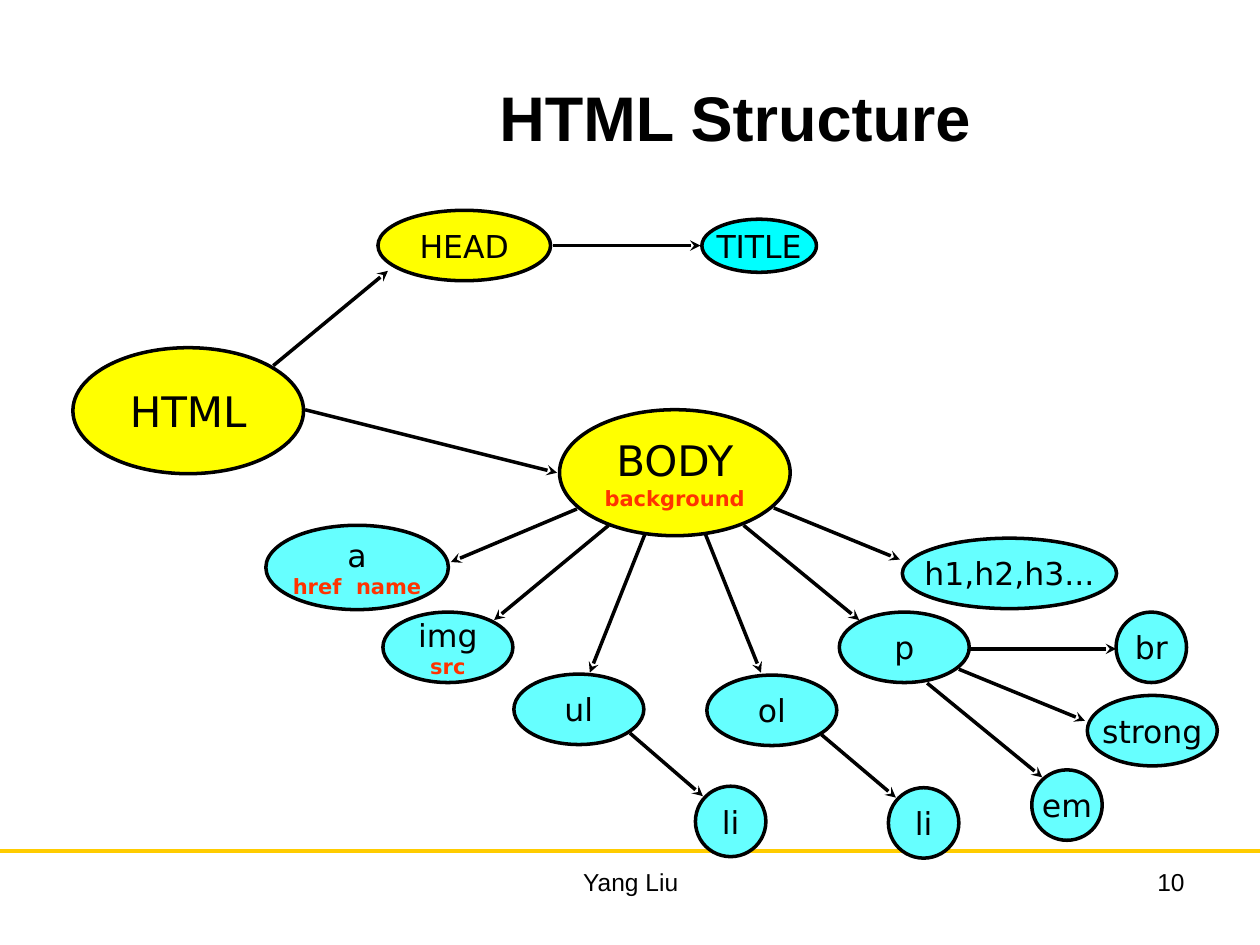
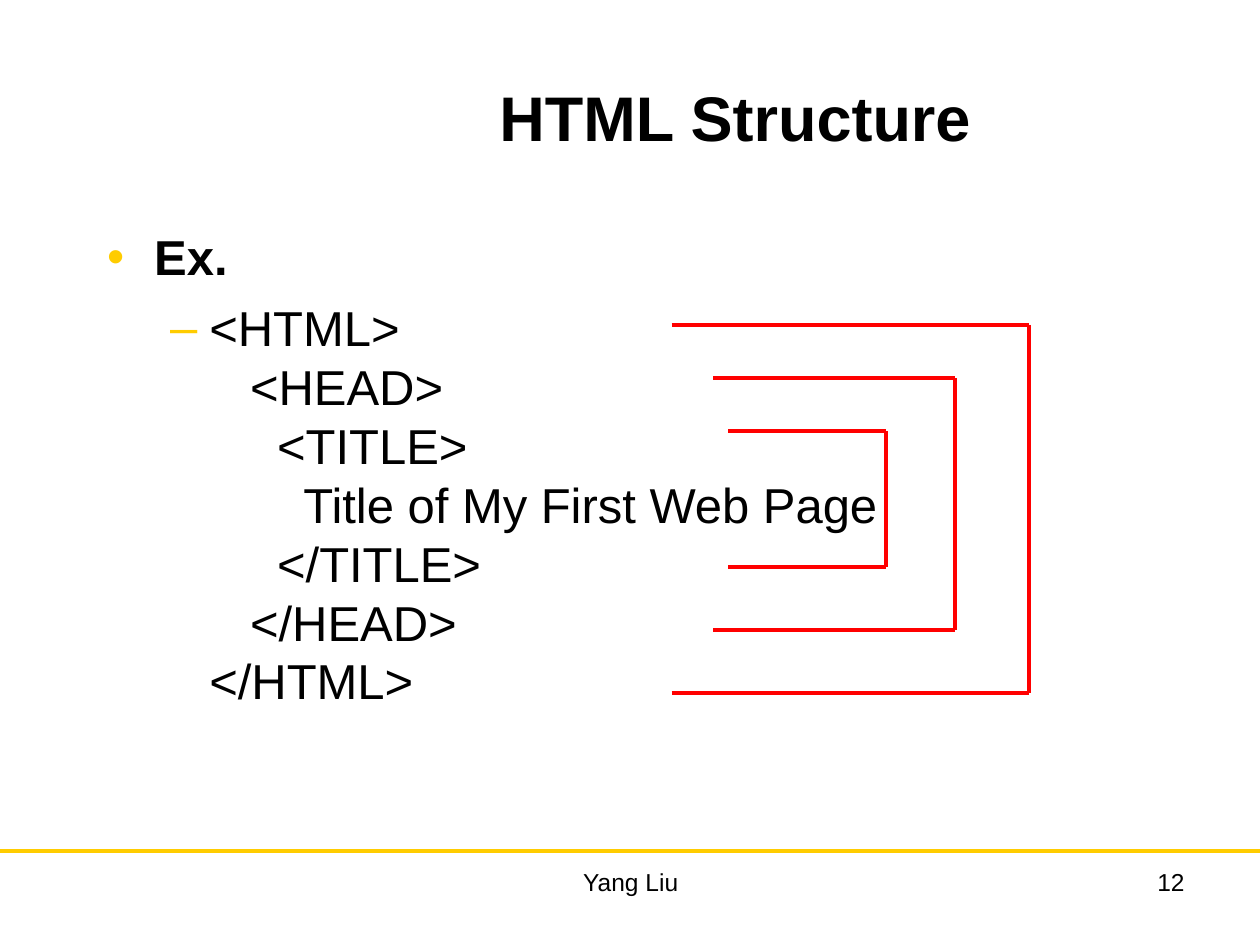
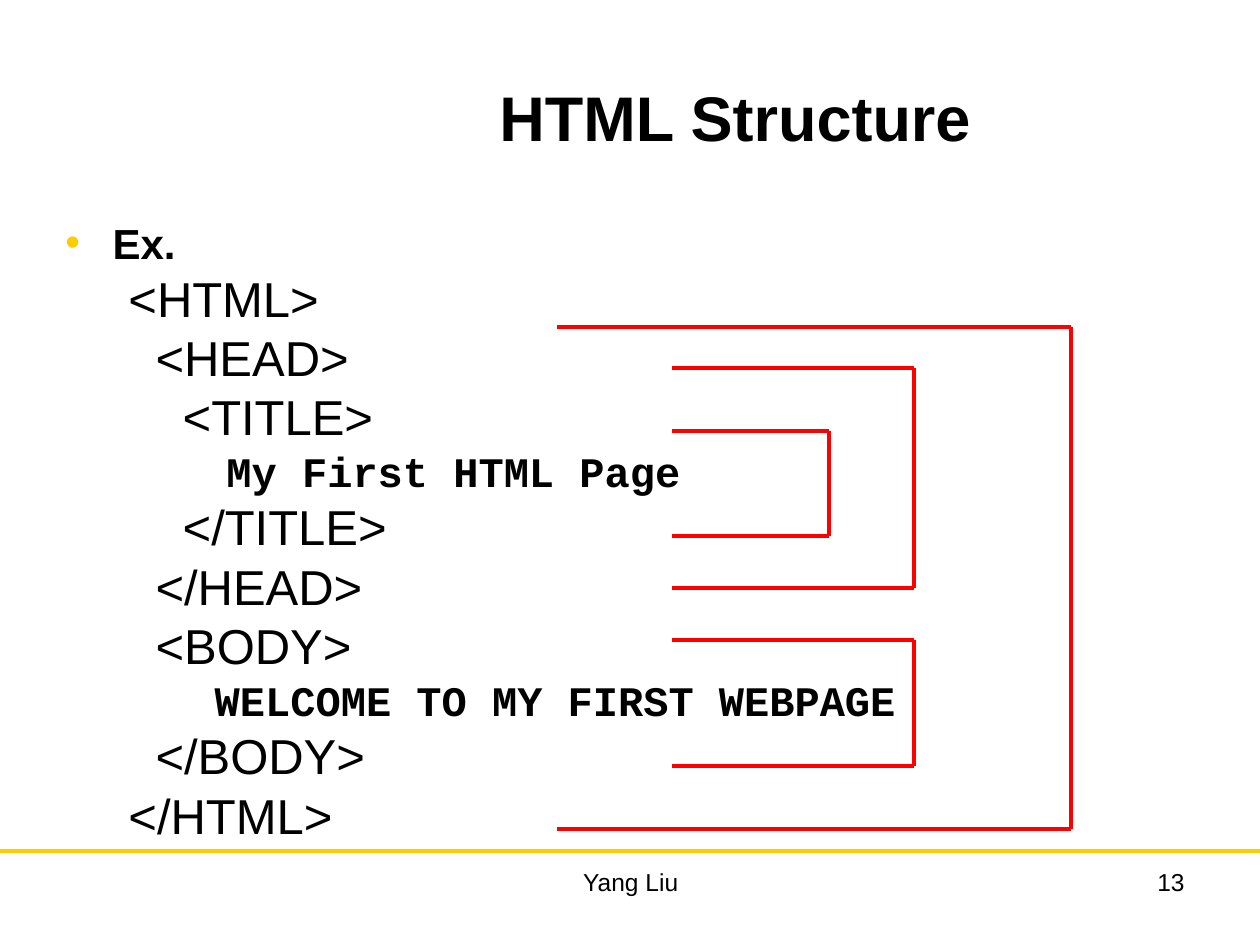
from lxml.etree import SubElement
from pptx import Presentation
from pptx.dml.color import RGBColor
from pptx.enum.shapes import MSO_CONNECTOR as CONN, MSO_SHAPE as SHAPE
from pptx.enum.text import MSO_ANCHOR as ANCHOR, PP_ALIGN as ALIGN
from pptx.oxml.ns import qn
from pptx.util import Cm, Pt

COLORS = {"text": "000000", "rule": "FFCC00", "main": "FFFF00", "title": "00FFFF",
          "tag": "66FFFF", "attribute": "FF3300", "bracket": "FF0000"}
SANS, MONO, NODE_FONT = "Arial", "Courier New", "DejaVu Sans"


def style_run(r, size, font=SANS, bold=False, color="text"):
    r.font.size = Pt(size)
    r.font.name = font
    r.font.bold = bold
    r.font.color.rgb = RGBColor.from_string(COLORS[color])


def add_line(s, x1, y1, x2, y2, color, width, arrow=False):
    c = s.shapes.add_connector(CONN.STRAIGHT, Cm(x1), Cm(y1), Cm(x2), Cm(y2))
    c.line.color.rgb = RGBColor.from_string(COLORS[color])
    c.line.width = Pt(width)
    if arrow:
        SubElement(c.line._get_or_add_ln(), qn("a:tailEnd"), type="stealth")
    SubElement(c._element.spPr, qn("a:effectLst"))


prs = Presentation()
prs.slide_width, prs.slide_height = Cm(25.4), Cm(19.05)

# Shared title, rule and footer
for number in (10, 12, 13):
    s = prs.slides.add_slide(prs.slide_layouts[6])
    add_line(s, 0, 17.15, 25.4, 17.15, "rule", 2.25)
    for text, box, align, anchor, size in (
        ("Yang Liu", (8.69, 17.35, 8.05, 1.32), ALIGN.CENTER, ANCHOR.TOP, 14),
        (str(number), (18.21, 17.35, 5.92, 1.32), ALIGN.RIGHT, ANCHOR.TOP, 14),
        ("HTML Structure", (5.51, 0.76, 18.62, 3.18), ALIGN.CENTER, ANCHOR.MIDDLE, 36),
    ):
        tf = s.shapes.add_textbox(*map(Cm, box)).text_frame
        tf.word_wrap = True
        tf.vertical_anchor = anchor
        tf.text = text
        p = tf.paragraphs[0]
        p.alignment = align
        style_run(p.runs[0], size, bold=size == 36)

tree_slide, head_slide, page_slide = prs.slides

# Tag tree: arrows, then nodes (tag, attributes, fill, size, left, top, width, height)
arrows = [
    (6.15, 8.26, 11.23, 9.53), (5.51, 7.37, 7.82, 5.46), (11.15, 4.95, 14.12, 4.95),
    (15.6, 10.24, 18.14, 11.28), (14.99, 10.59, 17.32, 12.5), (19.53, 13.08, 22.5, 13.08),
    (19.33, 13.49, 21.87, 14.53), (18.69, 13.77, 21.01, 15.67), (14.22, 10.77, 15.34, 13.56),
    (16.56, 14.81, 18.06, 16.08), (13, 10.77, 11.89, 13.56), (12.7, 14.78, 14.17, 16.05),
    (12.27, 10.59, 9.96, 12.5), (11.63, 10.26, 9.09, 11.33),
]
nodes = [
    ("HTML", "", "main", 24, 1.47, 7.01, 4.65, 2.54),
    ("BODY", "background", "main", 24, 11.28, 8.26, 4.65, 2.54),
    ("HEAD", "", "main", 18, 7.62, 4.24, 3.48, 1.42),
    ("TITLE", "", "title", 18, 14.15, 4.42, 2.31, 1.07),
    ("h1,h2,h3...", "", "tag", 18, 18.19, 10.85, 4.32, 1.42),
    ("p", "", "tag", 18, 16.92, 12.34, 2.62, 1.42),
    ("br", "", "tag", 18, 22.5, 12.34, 1.42, 1.42),
    ("strong", "", "tag", 18, 21.92, 14.02, 2.62, 1.42),
    ("em", "", "tag", 18, 20.8, 15.52, 1.42, 1.42),
    ("ol", "", "tag", 18, 14.25, 13.61, 2.62, 1.42),
    ("li", "", "tag", 18, 17.91, 15.88, 1.42, 1.42),
    ("ul", "", "tag", 18, 10.36, 13.59, 2.62, 1.42),
    ("li", "", "tag", 18, 14.02, 15.85, 1.42, 1.42),
    ("img", "src", "tag", 18, 7.72, 12.34, 2.62, 1.42),
    ("a", "href  name", "tag", 18, 5.36, 10.59, 3.68, 1.7),
]
for ends in arrows:
    add_line(tree_slide, *ends, "text", 2, arrow=True)
for tag, attributes, fill, size, *box in nodes:
    sp = tree_slide.shapes.add_shape(SHAPE.OVAL, *map(Cm, box))
    sp.shadow.inherit = False
    sp.fill.solid()
    sp.fill.fore_color.rgb = RGBColor.from_string(COLORS[fill])
    sp.line.color.rgb = RGBColor.from_string(COLORS["text"])
    sp.line.width = Pt(2)
    tf = sp.text_frame
    tf.word_wrap = False
    tf.vertical_anchor = ANCHOR.MIDDLE
    tf.text = f"{tag}\n{attributes}" if attributes else tag
    for p in tf.paragraphs:
        p.alignment = ALIGN.CENTER
    style_run(tf.paragraphs[0].runs[0], size, NODE_FONT)
    if attributes:
        style_run(tf.paragraphs[1].runs[0], 12, NODE_FONT, True, "attribute")

# Code examples: paragraphs are (level, bullet, size, text)
head_code = "\v".join([
    "<HTML>",
    "   <HEAD>",
    "     <TITLE>",
    "       Title of My First Web Page",
    "     </TITLE>",
    "   </HEAD>",
    "</HTML>",
])
page_code = [
    (1, "", 28, "<HTML>"),
    (1, "", 28, "  <HEAD>"),
    (1, "", 28, "    <TITLE>"),
    (2, "", 24, "   My First HTML Page"),
    (1, "", 28, "    </TITLE>"),
    (1, "", 28, "  </HEAD>"),
    (1, "", 28, "  <BODY>"),
    (2, "", 24, "  WELCOME TO MY FIRST WEBPAGE"),
    (1, "", 28, "  </BODY>"),
    (1, "", 28, "</HTML>"),
]
examples = [
    (head_slide, (1.91, 4.45, 22.86, 12.47), 1.0,
     [(0, "•", 28, "Ex."), (1, "–", 28, head_code)]),
    (page_slide, (1.07, 4.45, 23.7, 13.08), 0.8, [(0, "•", 24, "Ex.")] + page_code),
]
indents = [(0.95, -0.95), (2.06, -0.79), (3.18, -0.64)]  # margin and first line, by level

for s, box, spacing, paragraphs in examples:
    tf = s.shapes.add_textbox(*map(Cm, box)).text_frame
    tf.word_wrap = True
    for i, (level, bullet, size, text) in enumerate(paragraphs):
        p = tf.add_paragraph() if i else tf.paragraphs[0]
        p.level = level
        p.line_spacing = spacing
        if i:
            p.space_before = Pt(size / 4)
        pPr = p._p.get_or_add_pPr()
        margin, first = indents[level]
        pPr.set("marL", str(Cm(margin)))
        pPr.set("indent", str(Cm(first)))
        if bullet:
            clr = SubElement(pPr, qn("a:buClr"))
            SubElement(clr, qn("a:srgbClr"), val=COLORS["rule"])
            SubElement(pPr, qn("a:buFont"), typeface=SANS)
            SubElement(pPr, qn("a:buChar"), char=bullet)
        if level == 2:
            content = text.lstrip()
            r = p.add_run()
            r.text = text[:-len(content)]
            style_run(r, size)
            r = p.add_run()
            r.text = content
            style_run(r, size, MONO, True)
        else:
            p.text = text
            for r in p.runs:
                style_run(r, size, bold=level == 0)

# Brackets joining opening and closing tags: (left, right, top, bottom)
brackets = [
    (head_slide, 13.54, 20.75, 6.55, 13.97),
    (head_slide, 14.38, 19.25, 7.62, 12.7),
    (head_slide, 14.68, 17.86, 8.69, 11.43),
    (page_slide, 11.23, 21.59, 6.6, 16.71),
    (page_slide, 13.54, 16.71, 8.69, 10.8),
    (page_slide, 13.54, 18.42, 7.42, 11.86),
    (page_slide, 13.54, 18.42, 12.9, 15.44),
]
for s, left, right, top, bottom in brackets:
    add_line(s, left, top, right, top, "bracket", 2.25)
    add_line(s, left, bottom, right, bottom, "bracket", 2.25)
    add_line(s, right, top, right, bottom, "bracket", 2.25)

prs.save("out.pptx")
